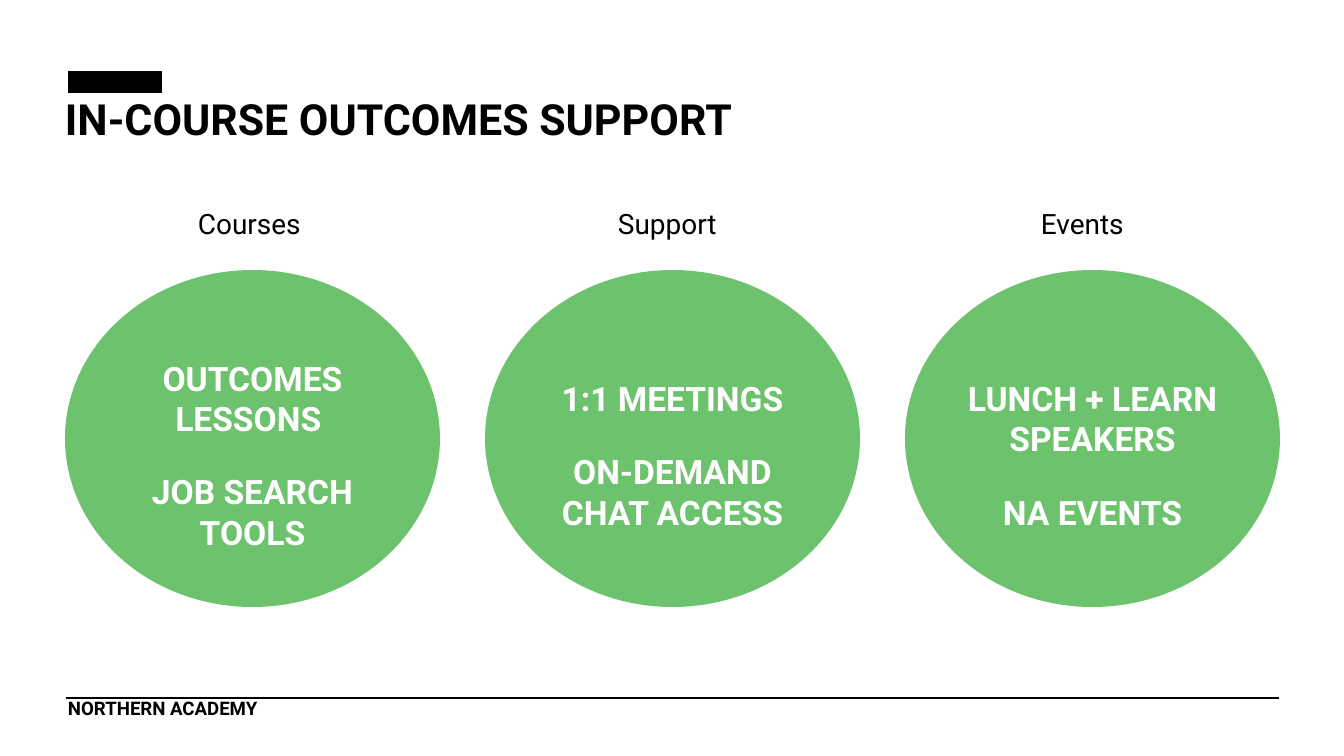
from dataclasses import dataclass

from lxml import etree
from pptx import Presentation
from pptx.dml.color import RGBColor
from pptx.enum.shapes import MSO_CONNECTOR, MSO_SHAPE
from pptx.enum.text import MSO_ANCHOR, MSO_AUTO_SIZE, PP_ALIGN
from pptx.oxml.ns import qn
from pptx.util import Pt

EMU_PER_PX = 914400 / 134.4


@dataclass(frozen=True)
class Theme:
    font: str = "Roboto"
    ink: RGBColor = RGBColor(0x00, 0x00, 0x00)
    paper: RGBColor = RGBColor(0xFF, 0xFF, 0xFF)
    green: RGBColor = RGBColor(0x6D, 0xC2, 0x6D)
    title_size: float = 23
    topic_size: float = 18
    heading_size: float = 15
    footer_size: float = 10
    topic_gap: float = 17.6
    accent_width: float = 12
    rule_width: float = 1


THEME = Theme()

# Heading, indent of the heading within its column, topics
COLUMNS = [
    ("Courses", 128, ["OUTCOMES LESSONS ", "JOB SEARCH TOOLS"]),
    ("Support", 128, ["1:1 MEETINGS", "ON-DEMAND CHAT ACCESS"]),
    ("Events", 131, ["LUNCH + LEARN SPEAKERS", "NA EVENTS"]),
]


def px(length):
    return round(length * EMU_PER_PX)


def set_insets(frame, inset, top=None):
    frame.margin_left = frame.margin_right = frame.margin_bottom = px(inset)
    frame.margin_top = px(inset if top is None else top)


def style(paragraph, size, color=THEME.ink, bold=True):
    font = paragraph.font
    font.name, font.size, font.bold = THEME.font, Pt(size), bold
    font.color.rgb = color


def add_rule(slide, left, top, width, weight):
    rule = slide.shapes.add_connector(
        MSO_CONNECTOR.STRAIGHT, px(left), px(top), px(left + width), px(top))
    rule.line.color.rgb = THEME.ink
    rule.line.width = Pt(weight)
    etree.SubElement(rule._element.spPr, qn("a:effectLst"))


def add_label(slide, text, left, top, width, height, size, inset=0, bold=True):
    label = slide.shapes.add_textbox(px(left), px(top), px(width), px(height))
    frame = label.text_frame
    set_insets(frame, inset)
    frame.text = text
    style(frame.paragraphs[0], size, bold=bold)
    return frame


def add_header(slide, text, left, top, width):
    add_rule(slide, left + 3, top, 94, THEME.accent_width)
    title = slide.shapes.title
    title.left, title.top = px(left), px(top + 9)
    title.width, title.height = px(width), px(41)
    frame = title.text_frame
    frame.text = text
    frame.word_wrap = True
    frame.auto_size = MSO_AUTO_SIZE.NONE
    frame.vertical_anchor = MSO_ANCHOR.TOP
    set_insets(frame, 0)
    heading = frame.paragraphs[0]
    heading.alignment = PP_ALIGN.LEFT
    heading.line_spacing = 1.03
    style(heading, THEME.title_size)


def add_column(slide, heading, indent, topics, left, top, width):
    heading_frame = add_label(slide, heading, left + indent, top, 120, 41,
                              THEME.heading_size, inset=5, bold=False)
    heading_frame.vertical_anchor = MSO_ANCHOR.MIDDLE

    circle = slide.shapes.add_shape(
        MSO_SHAPE.OVAL, px(left), px(top + 67), px(width), px(337))
    circle.shadow.inherit = False
    circle.fill.solid()
    circle.fill.fore_color.rgb = THEME.green
    circle.line.fill.background()
    frame = circle.text_frame
    frame.word_wrap = True
    frame.vertical_anchor = MSO_ANCHOR.MIDDLE
    set_insets(frame, 4, top=37)
    frame.text = "\n".join(topics)
    for number, topic in enumerate(frame.paragraphs):
        topic.alignment = PP_ALIGN.CENTER
        if number:
            topic.space_before = Pt(THEME.topic_gap)
        style(topic, THEME.topic_size, THEME.paper)


def add_columns(slide, left, top, width, gap):
    column_width = (width - gap * (len(COLUMNS) - 1)) / len(COLUMNS)
    for number, (heading, indent, topics) in enumerate(COLUMNS):
        add_column(slide, heading, indent, topics,
                   left + number * (column_width + gap), top, column_width)


def add_footer(slide, text, left, top, width):
    add_rule(slide, left, top, width, THEME.rule_width)
    frame = add_label(slide, text, left + 2, top + 6, 591, 20, THEME.footer_size)
    frame.paragraphs[0].line_spacing = 0.65


def main():
    deck = Presentation()
    deck.slide_width, deck.slide_height = px(1344), px(756)
    slide = deck.slides.add_slide(deck.slide_layouts[5])
    add_header(slide, "IN-COURSE OUTCOMES SUPPORT", 65, 82, 798)
    add_columns(slide, 65, 203, 1215, 45)
    add_footer(slide, "NORTHERN ACADEMY", 66, 698, 1213)
    deck.save("out.pptx")


if __name__ == "__main__":
    main()
